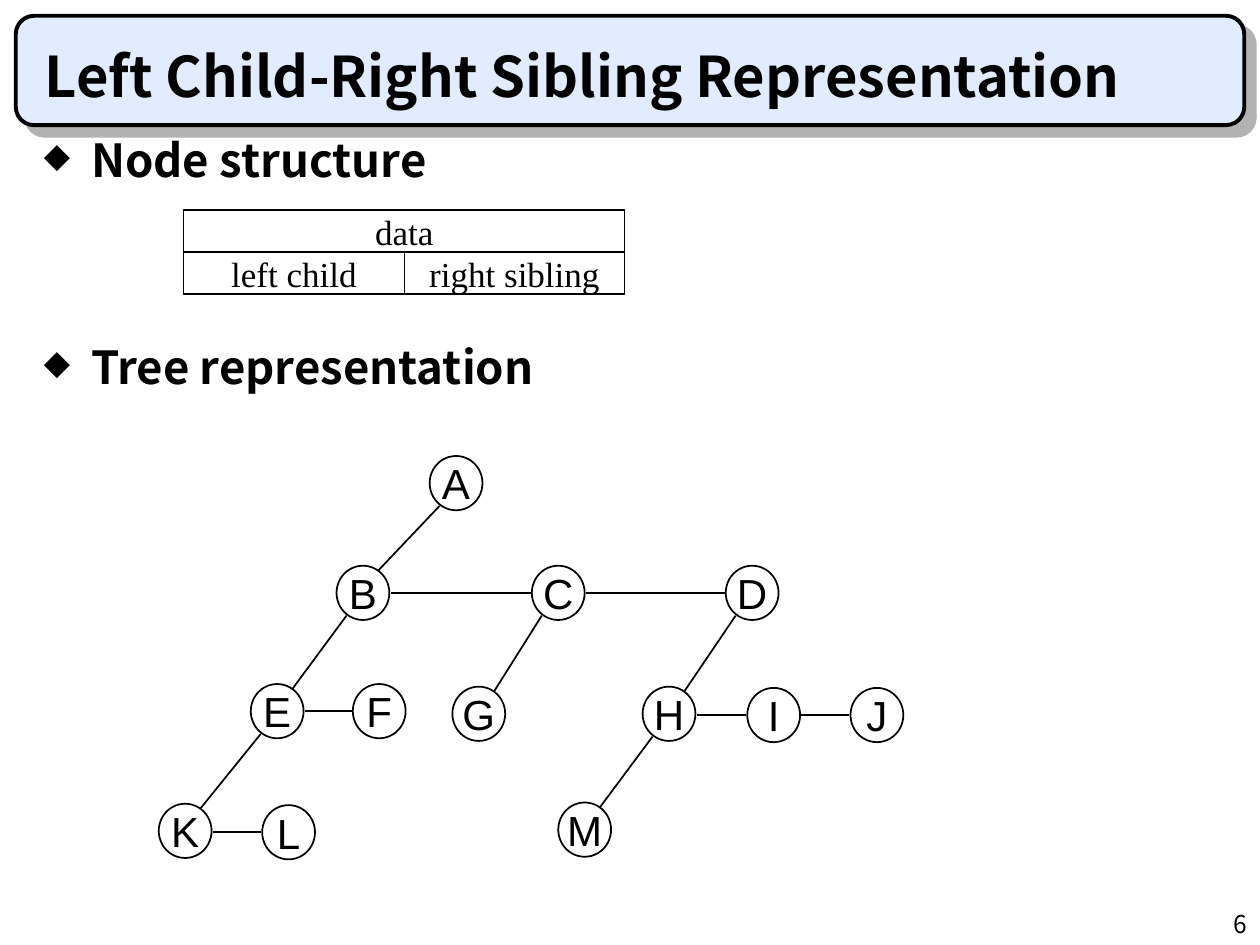
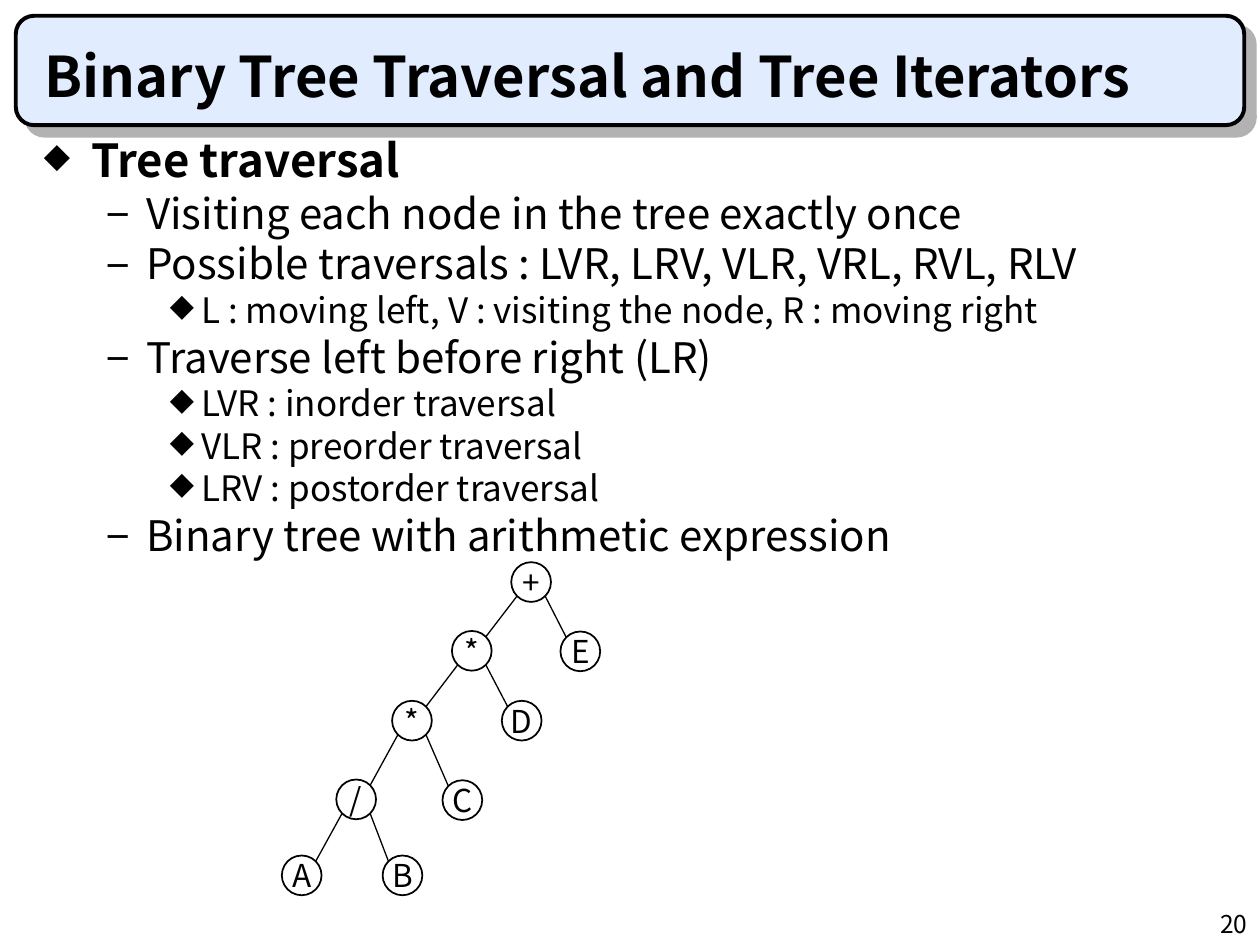
import pptx
import pptx.dml.color
import pptx.enum.shapes
import pptx.enum.text
import pptx.oxml
import pptx.oxml.ns
import pptx.util
from lxml import etree

Pt = pptx.util.Pt
SHAPE = pptx.enum.shapes.MSO_SHAPE
ALIGN = pptx.enum.text.PP_ALIGN
ANCHOR = pptx.enum.text.MSO_ANCHOR
qn = pptx.oxml.ns.qn

# Shared look
INK, PAPER, BAND, SHADE = "000000", "FFFFFF", "E1ECFF", "B2B2B2"
SANS, SERIF, NODE_FONT = "Noto Sans CJK KR", "Times New Roman", "Arial"
# Outline levels: left margin, hanging, space before,
# bullet (symbol, percent, font), size, bold
LEVELS = [
    (27, 27, 6.5, ("◆", 75, None), 26, True),
    (58.5, 22.5, 6, ("−", 100, SANS), 24, False),
    (90, 18, 5, ("◆", 90, None), 20, False),
]

# Slide content: outline rows are (level, text, optional space before)
SIBLING_TITLE = "Left Child-Right Sibling Representation"
SIBLING_OUTLINE = [(0, "Node structure"), (0, "Tree representation", 93.5)]
FIELDS = [  # text, left, top, width
    ("left child", 105, 144, 126),
    ("right sibling", 231, 144, 126),
    ("data", 105, 120, 252),
]
FIELD_HEIGHT = 24
SIBLING_NODES = {  # name: label, centre x, centre y
    name: (name, x, y) for name, x, y in [
        ("A", 260.6, 276.1),
        ("B", 207.4, 338.8), ("C", 319, 338.8), ("D", 429.8, 338.8),
        ("E", 158.4, 406.4), ("F", 216.7, 406.4), ("G", 273.6, 407.9),
        ("H", 382.3, 407.9), ("I", 442.1, 408.6), ("J", 501.1, 408.6),
        ("K", 105.8, 474.8), ("L", 164.9, 475.6), ("M", 334.1, 474.1),
    ]
}
SIBLING_EDGES = {
    "child": ["AB", "BE", "EK", "CG", "DH", "HM"],
    "sibling": ["BC", "CD", "EF", "HI", "IJ", "KL"],
}
SIBLING_PORTS = {  # offsets from the two node centres
    "child": ((-9.4, 13), (8.6, -12.6)),
    "sibling": ((15.8, 0), (-15.8, 0)),
}

TRAVERSAL_TITLE = "Binary Tree Traversal and Tree Iterators"
TRAVERSAL_OUTLINE = [
    (0, "Tree traversal"),
    (1, "Visiting each node in the tree exactly once"),
    (1, "Possible traversals : LVR, LRV, VLR, VRL, RVL, RLV"),
    (2, "L : moving left, V : visiting the node, R : moving right"),
    (1, "Traverse left before right (LR)"),
    (2, "LVR : inorder traversal"),
    (2, "VLR : preorder traversal"),
    (2, "LRV : postorder traversal"),
    (1, "Binary tree with arithmetic expression"),
]
EXPRESSION_NODES = {
    "plus": ("+", 303.5, 332.6),
    "times E": ("*", 269.6, 371.9), "E": ("E", 331.6, 372.2),
    "times D": ("*", 235.4, 411.8), "D": ("D", 298.1, 411.8),
    "divide": ("/", 203.5, 456.8), "C": ("C", 264.2, 457.2),
    "A": ("A", 172.4, 500.2), "B": ("B", 230, 500.2),
}
EXPRESSION_EDGES = {
    "left": [("plus", "times E"), ("times E", "times D"),
             ("times D", "divide"), ("divide", "A")],
    "right": [("plus", "E"), ("times E", "D"), ("times D", "C"), ("divide", "B")],
}
EXPRESSION_PORTS = {
    "left": ((-8, 8), (8, -8)),
    "right": ((8, 8), (-8, -8)),
}


def color(value):
    return pptx.dml.color.RGBColor.from_string(value)


def set_font(para, name, size, bold=False):
    font = para.font
    font.name, font.size, font.bold = name, Pt(size), bold
    font.color.rgb = color(INK)


def add_panel(page, kind, left, top, width, height, line_width, fill=None):
    panel = page.shapes.add_shape(kind, Pt(left), Pt(top), Pt(width), Pt(height))
    panel.shadow.inherit = False
    if fill:
        panel.fill.solid()
        panel.fill.fore_color.rgb = color(fill)
    else:
        panel.fill.background()
    panel.line.color.rgb = color(INK)
    panel.line.width = Pt(line_width)
    return panel


def add_label(panel, text, font, size):
    frame = panel.text_frame
    frame.word_wrap = False
    frame.vertical_anchor = ANCHOR.MIDDLE
    para = frame.paragraphs[0]
    para.text = text
    para.alignment = ALIGN.CENTER
    set_font(para, font, size)


def add_textbox(page, left, top, width, height):
    box = page.shapes.add_textbox(Pt(left), Pt(top), Pt(width), Pt(height))
    box.text_frame.word_wrap = True
    return box.text_frame


def add_band(page):
    band = add_panel(page, SHAPE.ROUNDED_RECTANGLE, 9, 9, 702, 62.5, 2.25, BAND)
    band.adjustments[0] = 0.167
    effects = band._element.spPr.find(qn("a:effectLst"))
    shadow = etree.SubElement(effects, qn("a:outerShdw"), blurRad="0",
                              dist=str(Pt(8.5)), dir=str(45 * 60000),
                              algn="ctr", rotWithShape="0")
    etree.SubElement(shadow, qn("a:srgbClr"), val=SHADE)


def add_bullet(para, margin, hanging, symbol, percent, font):
    props = para._p.get_or_add_pPr()
    props.set("marL", str(Pt(margin)))
    props.set("indent", str(-Pt(hanging)))
    tint = etree.SubElement(props, qn("a:buClr"))
    etree.SubElement(tint, qn("a:srgbClr"), val=INK)
    etree.SubElement(props, qn("a:buSzPct"), val=str(percent * 1000))
    if font:
        etree.SubElement(props, qn("a:buFont"), typeface=font)
    etree.SubElement(props, qn("a:buChar"), char=symbol)


def add_outline(page, rows):
    frame = add_textbox(page, 18, 78, 678, 422)
    for index, (level, text, *gap) in enumerate(rows):
        margin, hanging, before, bullet, size, bold = LEVELS[level]
        para = frame.add_paragraph() if index else frame.paragraphs[0]
        para.text = text
        para.level = level
        para.line_spacing = 0.8
        if index:
            para.space_before = Pt(gap[0] if gap else before)
        add_bullet(para, margin, hanging, *bullet)
        set_font(para, SANS, size, bold)


def add_page(deck, title, number, rows):
    page = deck.slides.add_slide(deck.slide_layouts[6])
    add_band(page)
    # Page number
    para = add_textbox(page, 570, 516, 150, 24).paragraphs[0]
    para.text = str(number)
    para.alignment = ALIGN.RIGHT
    set_font(para, SANS, 14)
    # Title
    frame = add_textbox(page, 18.5, 17.5, 678, 48)
    frame.vertical_anchor = ANCHOR.BOTTOM
    frame.paragraphs[0].text = title
    set_font(frame.paragraphs[0], SANS, 32, True)
    add_outline(page, rows)
    return page


def add_edge(page, start, end, line_width):
    edge = page.shapes.add_connector(
        pptx.enum.shapes.MSO_CONNECTOR.STRAIGHT, *map(Pt, start + end))
    edge.line.color.rgb = color(INK)
    edge.line.width = Pt(line_width)
    etree.SubElement(edge._element.spPr, qn("a:effectLst"))


def add_tree(page, nodes, edges, ports, width, height, font, size, line_width):
    for label, x, y in nodes.values():
        node = add_panel(page, SHAPE.OVAL, x - width / 2, y - height / 2,
                         width, height, 1)
        add_label(node, label, font, size)
    for kind, pairs in edges.items():
        (out_x, out_y), (in_x, in_y) = ports[kind]
        for parent, child in pairs:
            _, x1, y1 = nodes[parent]
            _, x2, y2 = nodes[child]
            if kind == "sibling":
                y1 = y2  # keep sibling links level
            add_edge(page, (x1 + out_x, y1 + out_y), (x2 + in_x, y2 + in_y),
                     line_width)


def main():
    deck = pptx.Presentation()
    deck.slide_width, deck.slide_height = Pt(720), Pt(540)

    # Left child-right sibling
    page = add_page(deck, SIBLING_TITLE, 6, SIBLING_OUTLINE)
    for text, left, top, width in FIELDS:
        field = add_panel(page, SHAPE.RECTANGLE, left, top, width,
                          FIELD_HEIGHT, 0.75, PAPER)
        add_label(field, text, SERIF, 20)
    add_tree(page, SIBLING_NODES, SIBLING_EDGES, SIBLING_PORTS,
             30.2, 31, NODE_FONT, 24, 1)

    # Traversal and the expression tree
    page = add_page(deck, TRAVERSAL_TITLE, 20, TRAVERSAL_OUTLINE)
    add_tree(page, EXPRESSION_NODES, EXPRESSION_EDGES, EXPRESSION_PORTS,
             22.7, 22.7, SANS, 18, 0.75)

    deck.save("out.pptx")


if __name__ == "__main__":
    main()
